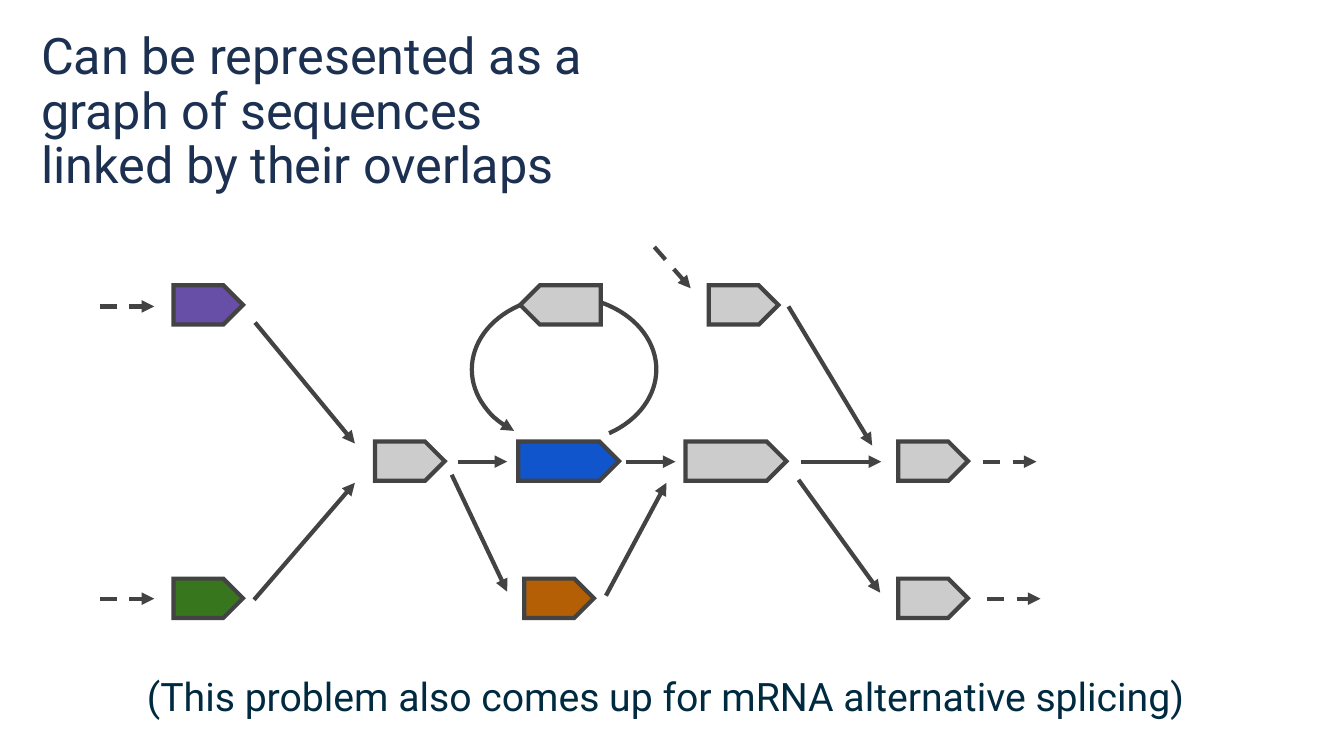
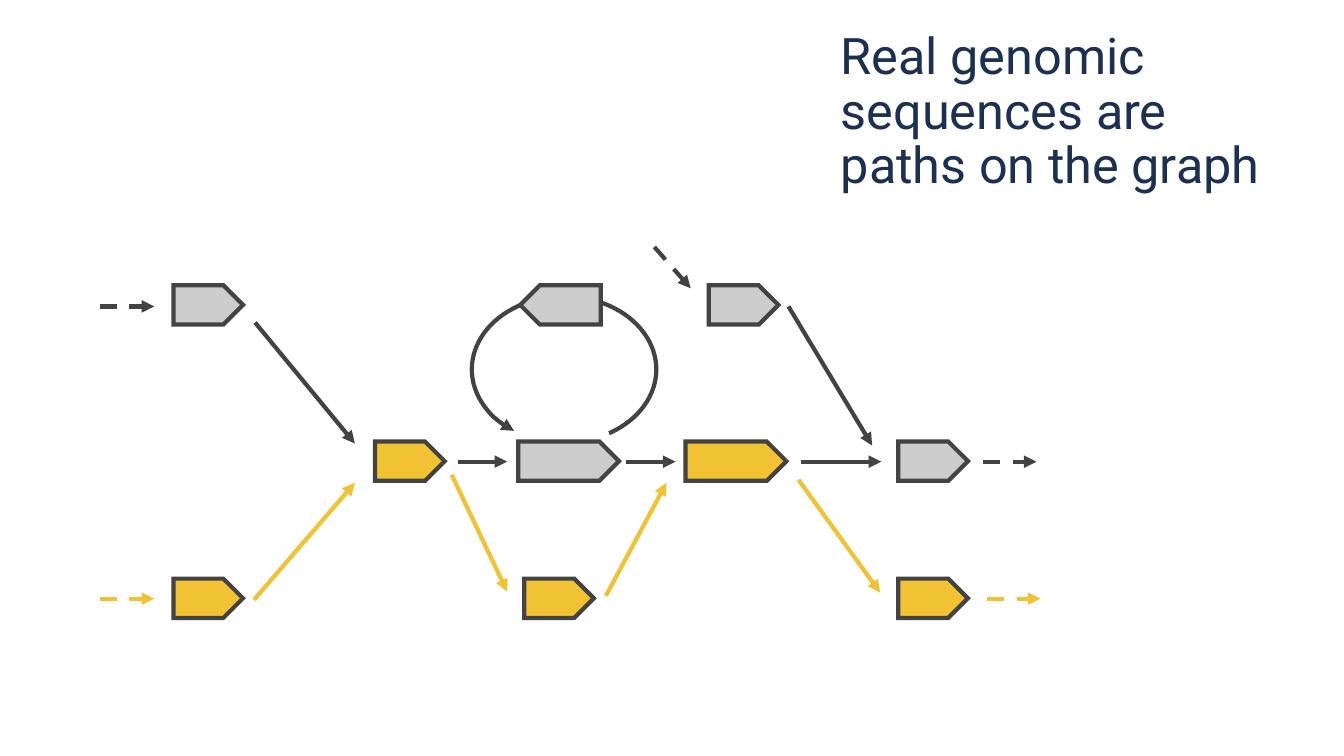
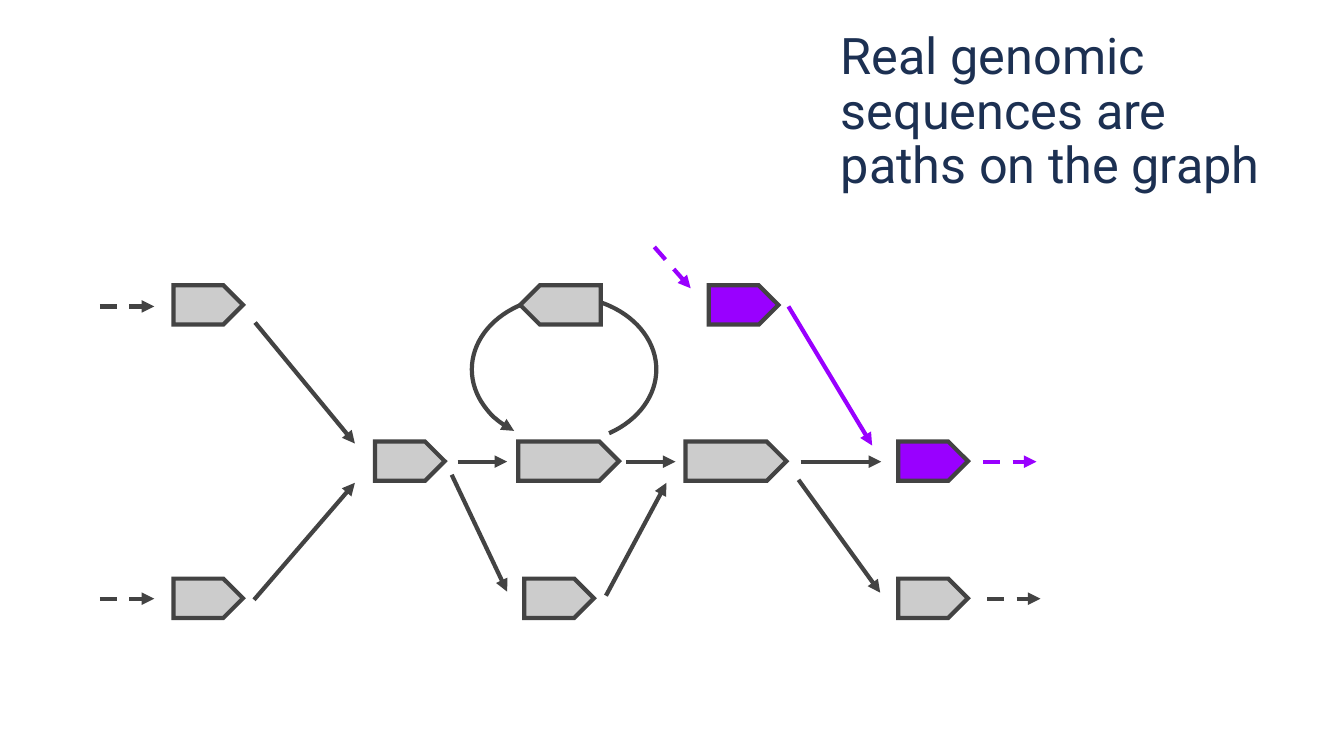
from itertools import pairwise

from lxml import etree
from pptx import Presentation
from pptx.dml.color import RGBColor
from pptx.enum import dml, shapes, text
from pptx.oxml import ns
from pptx.util import Inches, Pt

FONT = "Roboto"
TITLE_COLOR = RGBColor(0x1C, 0x30, 0x52)
NOTE_COLOR = RGBColor(0x00, 0x2A, 0x40)
DARK = RGBColor(0x43, 0x43, 0x43)
GREY = RGBColor(0xCC, 0xCC, 0xCC)
VIOLET = RGBColor(0x67, 0x4E, 0xA7)
GREEN = RGBColor(0x38, 0x76, 0x1D)
BLUE = RGBColor(0x11, 0x55, 0xCC)
ORANGE = RGBColor(0xB4, 0x5F, 0x06)
YELLOW = RGBColor(0xF1, 0xC2, 0x32)
PURPLE = RGBColor(0x99, 0x00, 0xFF)

# Sequences: left, top, width
TOP, MIDDLE, LOW = 2.83, 4.38, 5.74
SHORT, LONG, NODE_HEIGHT = 0.69, 1, 0.39
LOOP = "loop"
NODES = {
    "upper start": (1.72, TOP, SHORT),
    "lower start": (1.72, LOW, SHORT),
    "merge": (3.72, MIDDLE, SHORT),
    "repeat": (5.14, MIDDLE, LONG),
    "detour": (5.2, LOW, SHORT),
    "fork": (6.8, MIDDLE, LONG),
    "side start": (7.03, TOP, SHORT),
    "middle end": (8.91, MIDDLE, SHORT),
    "lower end": (8.91, LOW, SHORT),
    LOOP: (5.16, TOP, 0.8),
}

# Overlaps: x and y of both ends; None stands for the rest of the genome
EDGES = {
    (None, "upper start"): (0.99, 3.04, 1.53, 3.04),
    (None, "lower start"): (0.99, 5.94, 1.53, 5.94),
    (None, "side start"): (6.49, 2.45, 6.85, 2.86),
    ("upper start", "merge"): (2.53, 3.2, 3.52, 4.4),
    ("lower start", "merge"): (2.52, 5.95, 3.52, 4.79),
    ("merge", "repeat"): (4.54, 4.58, 5.03, 4.58),
    ("merge", "detour"): (4.48, 4.71, 5.03, 5.87),
    ("repeat", "fork"): (6.21, 4.58, 6.7, 4.58),
    ("detour", "fork"): (6.01, 5.91, 6.61, 4.79),
    ("fork", "middle end"): (7.94, 4.58, 8.74, 4.58),
    ("fork", "lower end"): (7.92, 4.76, 8.73, 5.88),
    ("side start", "middle end"): (7.82, 3.04, 8.65, 4.42),
    ("middle end", None): (9.75, 4.58, 10.28, 4.58),
    ("lower end", None): (9.79, 5.94, 10.32, 5.94),
}


class Deck:
    """Holds the shared style and the current slide."""

    def __init__(self):
        self.deck = Presentation()
        self.deck.slide_width = Inches(13.33)
        self.deck.slide_height = Inches(7.5)
        self.page = None

    def new_page(self):
        self.page = self.deck.slides.add_slide(self.deck.slide_layouts[6])

    def text_box(self, words, place, size, color, inset):
        box = self.page.shapes.add_textbox(*map(Inches, place))
        frame = box.text_frame
        frame.word_wrap = True
        frame.margin_top = frame.margin_bottom = Inches(inset)
        frame.text = words
        para = frame.paragraphs[0]
        font = para.runs[0].font
        font.name, font.size, font.color.rgb = FONT, Pt(size), color
        return para

    def title(self, words, left, width, height):
        para = self.text_box(words, (left, 0.26, width, height), 36, TITLE_COLOR, 0.05)
        para.line_spacing = 0.9

    def note(self, words):
        para = self.text_box(words, (0.64, 6.57, 11.92, 0.73), 28, NOTE_COLOR, 0.1)
        para.alignment = text.PP_ALIGN.CENTER

    def style_line(self, line, color=DARK):
        line.color.rgb = color
        line.width = Pt(3)

    def line_part(self, line, tag, **values):
        etree.SubElement(line._get_or_add_ln(), ns.qn(tag), **values)

    def node(self, left, top, width, color, flipped=False):
        shape = self.page.shapes.add_shape(
            shapes.MSO_SHAPE.PENTAGON, *map(Inches, (left, top, width, NODE_HEIGHT)))
        shape.shadow.inherit = False
        shape.fill.solid()
        shape.fill.fore_color.rgb = color
        self.style_line(shape.line)
        self.line_part(shape.line, "a:miter", lim="800000")
        if flipped:
            shape._element.spPr.xfrm.set("flipH", "1")

    def arrow(self, ends, color, dashed):
        arrow = self.page.shapes.add_connector(
            shapes.MSO_CONNECTOR.STRAIGHT, *map(Inches, ends))
        self.style_line(arrow.line, color)
        if dashed:
            arrow.line.dash_style = dml.MSO_LINE.DASH
        self.line_part(arrow.line, "a:tailEnd", type="triangle")
        etree.SubElement(arrow._element.spPr, ns.qn("a:effectLst"))

    def loop_arc(self):
        arc = self.page.shapes.add_shape(
            shapes.MSO_SHAPE.ARC, *map(Inches, (4.68, 2.94, 1.83, 1.45)))
        arc.shadow.inherit = False
        arc.fill.background()
        # Start and end angles; one degree is 0.6 adjustment units
        for index, degrees in enumerate((129.11, 54.8)):
            arc.adjustments[index] = degrees * 0.6
        self.style_line(arc.line)
        self.line_part(arc.line, "a:headEnd", type="triangle")

    def graph(self, node_colors, route=(), route_color=DARK):
        """Draws the graph; the edges along the route take its colour."""
        self.loop_arc()
        on_route = set(pairwise(route))
        for edge, ends in EDGES.items():
            self.arrow(ends, route_color if edge in on_route else DARK, None in edge)
        for name, place in NODES.items():
            self.node(*place, node_colors.get(name, GREY), flipped=name == LOOP)


def main():
    deck = Deck()

    # The graph of sequences
    deck.new_page()
    deck.title("Can be represented as a graph of sequences linked by their overlaps",
               0.31, 5.63, 2.45)
    deck.graph({"upper start": VIOLET, "lower start": GREEN,
                "repeat": BLUE, "detour": ORANGE})
    deck.note("(This problem also comes up for mRNA alternative splicing)")

    # One path through the graph on each slide
    routes = (
        (YELLOW, (None, "lower start", "merge", "detour", "fork", "lower end", None)),
        (PURPLE, (None, "side start", "middle end", None)),
    )
    for color, route in routes:
        deck.new_page()
        deck.graph(dict.fromkeys(route, color), route, color)
        deck.title("Real genomic sequences are paths on the graph", 8.24, 4.68, 1.77)

    deck.deck.save("out.pptx")


if __name__ == "__main__":
    main()
